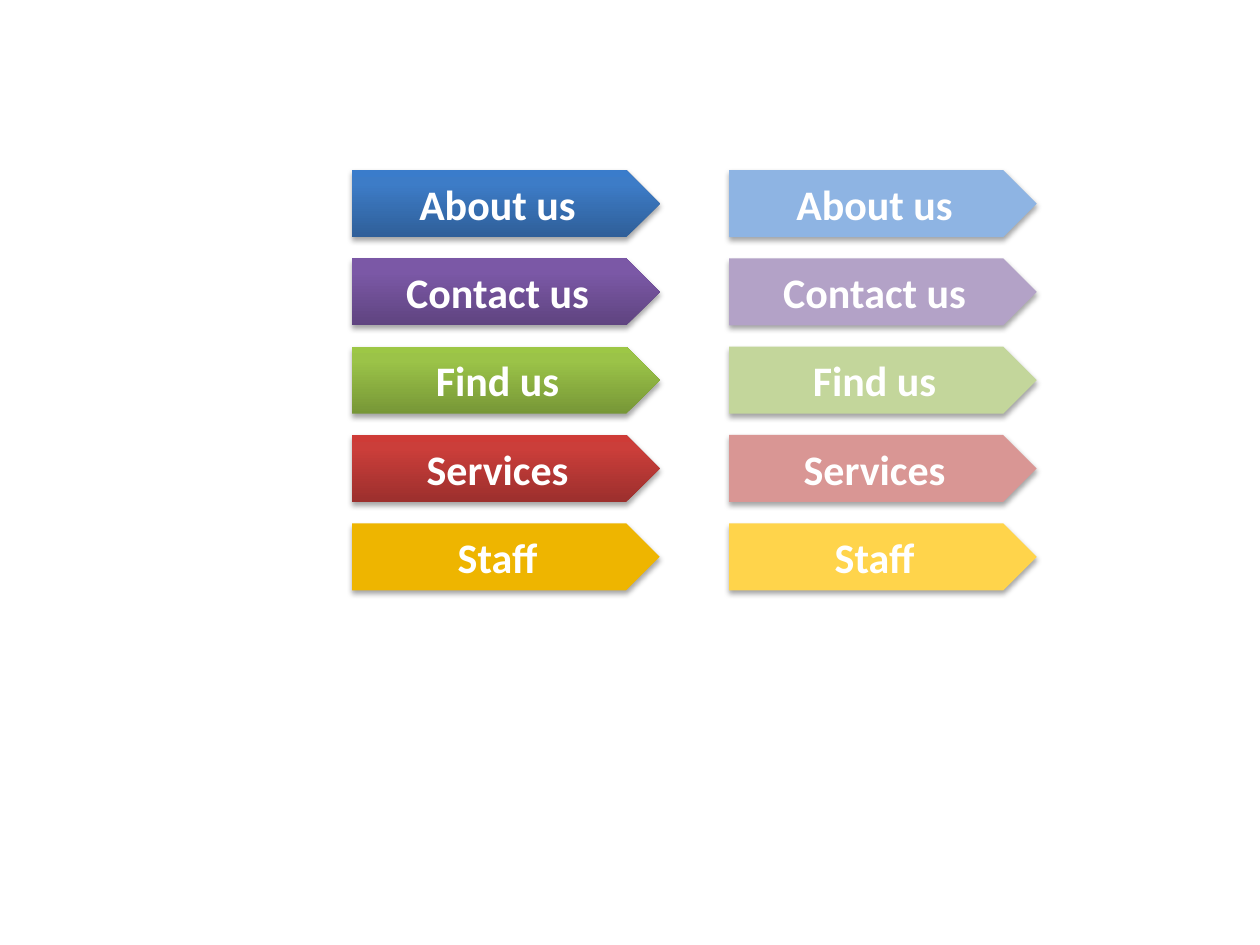
from copy import deepcopy

from lxml.etree import SubElement
from pptx import Presentation
from pptx.dml.color import RGBColor
from pptx.enum.shapes import MSO_SHAPE
from pptx.enum.text import MSO_ANCHOR, PP_ALIGN
from pptx.oxml.ns import qn
from pptx.util import Cm, Pt

WHITE = RGBColor(0xFF, 0xFF, 0xFF)
BLUE = [RGBColor(0x2F, 0x5F, 0x99), RGBColor(0x3D, 0x7C, 0xC7), RGBColor(0x3A, 0x7C, 0xCB)]
PURPLE = [RGBColor(0x5F, 0x44, 0x80), RGBColor(0x7B, 0x58, 0xA6), RGBColor(0x7C, 0x57, 0xA8)]
GREEN = [RGBColor(0x77, 0x97, 0x37), RGBColor(0x9B, 0xC3, 0x48), RGBColor(0x9D, 0xC7, 0x46)]
RED = [RGBColor(0x9C, 0x2F, 0x2D), RGBColor(0xCB, 0x3E, 0x3A), RGBColor(0xCE, 0x3B, 0x37)]
GOLD = [RGBColor(0xEE, 0xB5, 0x00)]
LIGHT_BLUE = [RGBColor(0x8E, 0xB4, 0xE3)]
LIGHT_PURPLE = [RGBColor(0xB3, 0xA2, 0xC7)]
LIGHT_GREEN = [RGBColor(0xC3, 0xD6, 0x9B)]
LIGHT_RED = [RGBColor(0xD9, 0x96, 0x94)]
LIGHT_GOLD = [RGBColor(0xFF, 0xD4, 0x4B)]

# Label, strong colours, light colours
BUTTONS = [
    ("About us", BLUE, LIGHT_BLUE),
    ("Contact us", PURPLE, LIGHT_PURPLE),
    ("Find us", GREEN, LIGHT_GREEN),
    ("Services", RED, LIGHT_RED),
    ("Staff", GOLD, LIGHT_GOLD),
]
GRADIENT_POSITIONS = (0, 0.8, 1)

# Button grid in centimetres
LEFT, TOP = 7.1, 3.43
COLUMN_PITCH, ROW_PITCH = 7.6, 1.78
WIDTH, HEIGHT = 6.2, 1.35


def set_fill(s, colors):
    """One colour gives a solid fill, three give an upward gradient."""
    if len(colors) == 1:
        s.fill.solid()
        s.fill.fore_color.rgb = colors[0]
        return
    s.fill.gradient()
    s.fill.gradient_angle = 90
    stops = s._element.spPr.find(qn("a:gradFill")).find(qn("a:gsLst"))
    stops.append(deepcopy(stops[-1]))
    for stop, color, position in zip(s.fill.gradient_stops, colors, GRADIENT_POSITIONS):
        stop.color.rgb = color
        stop.position = position


def add_shadow(s):
    s.shadow.inherit = False
    effects = s._element.spPr.find(qn("a:effectLst"))
    shadow = SubElement(effects, qn("a:outerShdw"), blurRad=str(Pt(3.1)),
                        dist=str(Pt(1.8)), dir="5400000", rotWithShape="0")
    color = SubElement(shadow, qn("a:srgbClr"), val="000000")
    SubElement(color, qn("a:alpha"), val="35000")


def add_button(slide, left, top, label, colors):
    s = slide.shapes.add_shape(MSO_SHAPE.PENTAGON, Cm(left), Cm(top), Cm(WIDTH), Cm(HEIGHT))
    set_fill(s, colors)
    s.line.fill.background()
    add_shadow(s)
    tf = s.text_frame
    tf.vertical_anchor = MSO_ANCHOR.MIDDLE
    p = tf.paragraphs[0]
    p.text = label
    p.alignment = PP_ALIGN.CENTER
    p.font.name = "Calibri"
    p.font.size = Pt(24)
    p.font.bold = True
    p.font.color.rgb = WHITE


def main():
    prs = Presentation()
    prs.slide_width, prs.slide_height = Cm(25.4), Cm(19.05)
    slide = prs.slides.add_slide(prs.slide_layouts[6])

    # Strong buttons on the left, light ones on the right
    for row, (label, *variants) in enumerate(BUTTONS):
        for column, colors in enumerate(variants):
            add_button(slide, LEFT + column * COLUMN_PITCH, TOP + row * ROW_PITCH, label, colors)

    prs.save("out.pptx")


main()
